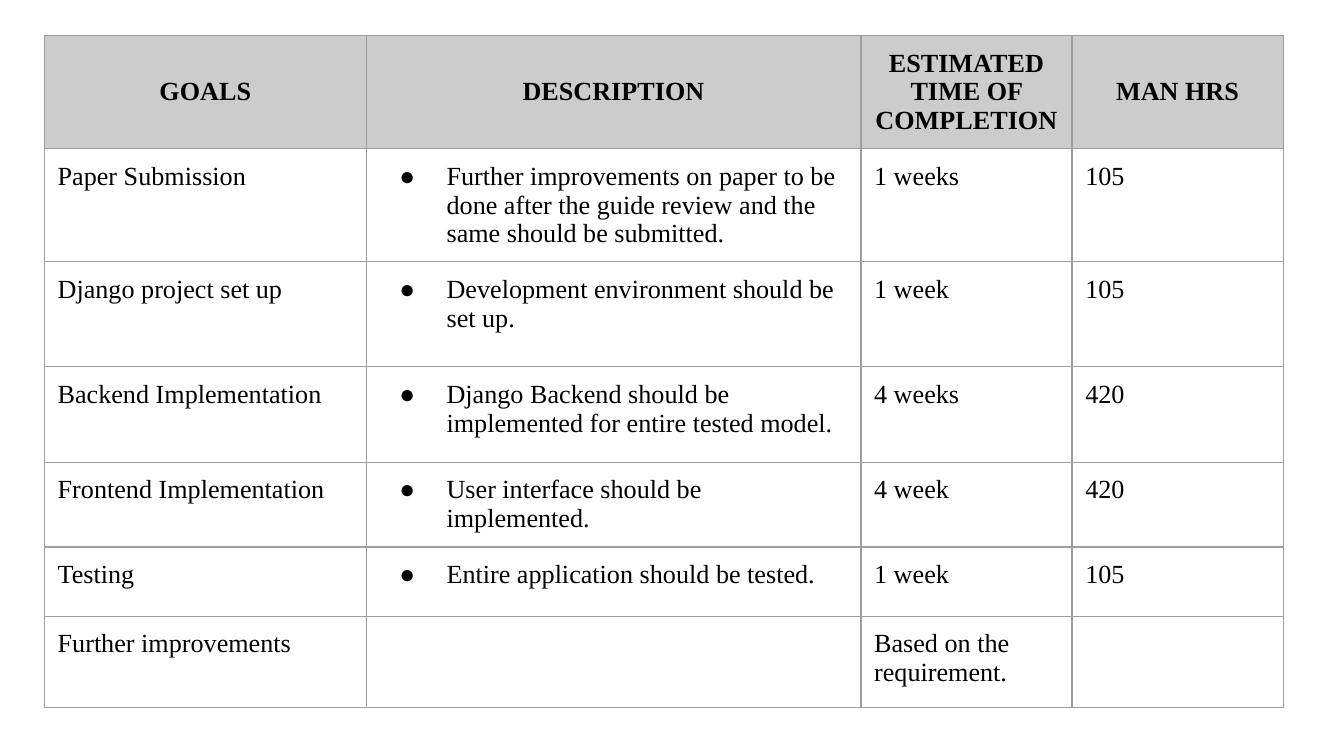
"""Build a slide with a project plan table of goals, timing and man hours."""
from dataclasses import dataclass

from lxml.etree import SubElement
from pptx import Presentation
from pptx.dml.color import RGBColor
from pptx.enum.text import MSO_ANCHOR, PP_ALIGN
from pptx.oxml.ns import qn
from pptx.util import Cm, Pt


@dataclass(frozen=True)
class Theme:
    font: str = "Times New Roman"
    size: float = 14
    text: str = "000000"
    header: str = "CCCCCC"
    border: str = "9E9E9E"
    border_width: float = 0.75


THEME = Theme()


def write(cell, text, bold=False, align=PP_ALIGN.LEFT, anchor=MSO_ANCHOR.TOP, bullet=False):
    cell.vertical_anchor = anchor
    paragraph = cell.text_frame.paragraphs[0]
    paragraph.alignment = align
    run = paragraph.add_run()
    run.text = text
    run.font.name = THEME.font
    run.font.size = Pt(THEME.size)
    run.font.bold = bold
    run.font.color.rgb = RGBColor.from_string(THEME.text)
    if bullet:
        properties = paragraph._p.get_or_add_pPr()
        properties.set("marL", str(Cm(1.27)))
        properties.set("indent", str(Cm(-0.89)))
        bullet_color = SubElement(properties, qn("a:buClr"))
        SubElement(bullet_color, qn("a:srgbClr"), val=THEME.text)
        SubElement(properties, qn("a:buFont"), typeface=THEME.font)
        SubElement(properties, qn("a:buChar"), char="●")


def add_borders(cell):
    properties = cell._tc.get_or_add_tcPr()
    for side in ("lnL", "lnR", "lnT", "lnB"):
        line = SubElement(properties, qn(f"a:{side}"), w=str(Pt(THEME.border_width)))
        line_fill = SubElement(line, qn("a:solidFill"))
        SubElement(line_fill, qn("a:srgbClr"), val=THEME.border)


HEADINGS = ("GOALS", "DESCRIPTION", "ESTIMATED TIME OF COMPLETION", "MAN HRS")
GOALS = (
    ("Paper Submission",
     "Further improvements on paper to be done after the guide review "
     "and the same should be submitted.", "1 weeks", "105"),
    ("Django project set up", "Development environment should be set up.", "1 week", "105"),
    ("Backend Implementation",
     "Django Backend should be implemented for entire tested model.", "4 weeks", "420"),
    ("Frontend Implementation", "User interface should be implemented.", "4 week", "420"),
    ("Testing", "Entire application should be tested.", "1 week", "105"),
    ("Further improvements", "", "Based on the requirement.", ""),
)
COLUMN_WIDTHS = (6.08, 9.35, 3.99, 3.99)
ROW_HEIGHTS = (2.14, 2.14, 1.98, 1.81, 1.6, 1.31, 1.73)

presentation = Presentation()
presentation.slide_width = Cm(25.4)
presentation.slide_height = Cm(14.29)
slide = presentation.slides.add_slide(presentation.slide_layouts[6])

plan = slide.shapes.add_table(
    len(ROW_HEIGHTS), len(COLUMN_WIDTHS), Cm(0.84), Cm(0.67),
    Cm(sum(COLUMN_WIDTHS)), Cm(sum(ROW_HEIGHTS))).table
plan.first_row = False
plan.horz_banding = False
for column, width in zip(plan.columns, COLUMN_WIDTHS):
    column.width = Cm(width)
for row, height in zip(plan.rows, ROW_HEIGHTS):
    row.height = Cm(height)

for row_index, entries in enumerate((HEADINGS, *GOALS)):
    for column_index, entry in enumerate(entries):
        cell = plan.cell(row_index, column_index)
        cell.margin_left = cell.margin_right = Cm(0.25)
        cell.margin_top = cell.margin_bottom = Cm(0.25)
        add_borders(cell)
        if row_index == 0:
            cell.fill.solid()
            cell.fill.fore_color.rgb = RGBColor.from_string(THEME.header)
            write(cell, entry, bold=True, align=PP_ALIGN.CENTER, anchor=MSO_ANCHOR.MIDDLE)
        else:
            cell.fill.background()
            if entry:
                write(cell, entry, bullet=column_index == 1)

presentation.save("out.pptx")
